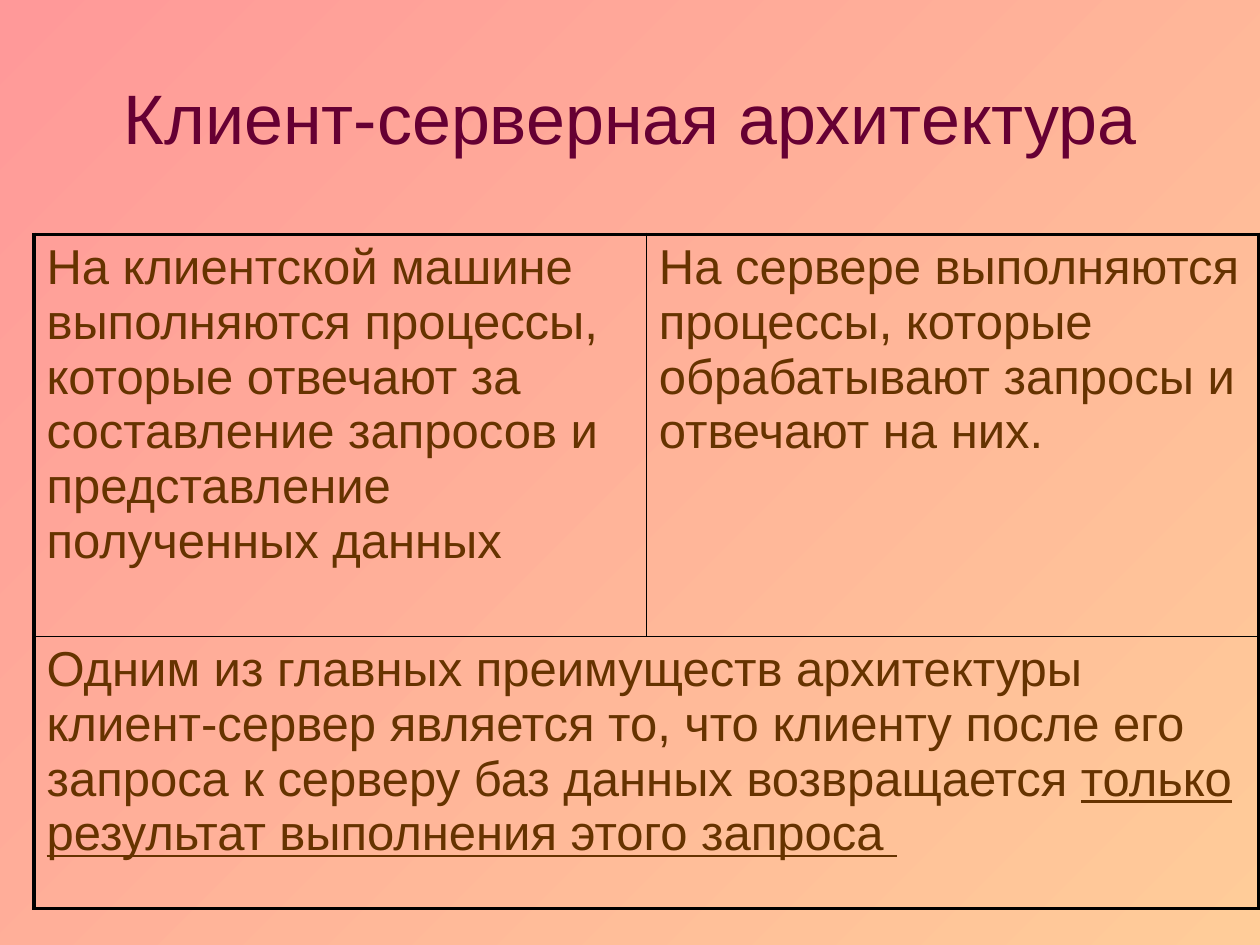
from lxml import etree
from pptx import Presentation
from pptx.dml.color import RGBColor
from pptx.enum import text
from pptx.oxml.ns import qn
from pptx.util import Inches, Pt

# Content
TITLE = "Клиент-серверная архитектура"
CLIENT = [("На клиентской машине выполняются процессы, которые отвечают за "
           "составление запросов и представление полученных данных ", False)]
SERVER = [("На сервере выполняются процессы, которые обрабатывают запросы "
           "и отвечают на них. ", False)]
ADVANTAGE = [("Одним из главных преимуществ архитектуры клиент-сервер является то, "
              "что клиенту после его запроса к серверу баз данных возвращается ", False),
             ("только результат выполнения этого запроса ", True)]
CELLS = {(0, 0): CLIENT, (0, 1): SERVER, (1, 0): ADVANTAGE}

COLORS = {"peach": "FFCC99", "pink": "FF9999", "title": "660033",
          "body": "663300", "border": "000000"}
COLUMN_WIDTHS = (4.86, 4.86)
ROW_HEIGHTS = (3.19, 2.16)
OUTER, INNER = 2.25, 1


def write(frame, runs, size, color, align=text.PP_ALIGN.LEFT):
    frame.word_wrap = True
    paragraph = frame.paragraphs[0]
    paragraph.alignment = align
    for words, underlined in runs:
        run = paragraph.add_run()
        run.text = words
        run.font.name = "Arial"
        run.font.size = Pt(size)
        run.font.color.rgb = RGBColor.from_string(COLORS[color])
        if underlined:
            run.font.underline = True


def set_borders(cell, widths):
    properties = cell._tc.get_or_add_tcPr()
    for side, width in zip("LRTB", widths):
        line = etree.SubElement(properties, qn(f"a:ln{side}"), w=str(Pt(width)))
        fill = etree.SubElement(line, qn("a:solidFill"))
        etree.SubElement(fill, qn("a:srgbClr"), val=COLORS["border"])


deck = Presentation()
deck.slide_width, deck.slide_height = Inches(10), Inches(7.5)
slide = deck.slides.add_slide(deck.slide_layouts[6])

# Background gradient, from bottom right to top left
backdrop = slide.background.fill
backdrop.gradient()
backdrop.gradient_angle = 135
for stop, (position, name) in zip(backdrop.gradient_stops, ((0, "peach"), (1, "pink"))):
    stop.position = position
    stop.color.rgb = RGBColor.from_string(COLORS[name])

# Architecture table
table = slide.shapes.add_table(
    2, 2, Inches(0.27), Inches(1.86),
    Inches(sum(COLUMN_WIDTHS)), Inches(sum(ROW_HEIGHTS))).table
table.first_row = table.horz_banding = False
for column, width in zip(table.columns, COLUMN_WIDTHS):
    column.width = Inches(width)
for row, height in zip(table.rows, ROW_HEIGHTS):
    row.height = Inches(height)
table.cell(1, 0).merge(table.cell(1, 1))

for r in range(2):
    for c in range(2):
        cell = table.cell(r, c)
        merged = r == 1
        set_borders(cell, (OUTER if c == 0 else INNER,
                           OUTER if c == 1 or merged else INNER,
                           OUTER if r == 0 else INNER,
                           OUTER if r == 1 else INNER))
        cell.fill.background()
        if (r, c) in CELLS:
            write(cell.text_frame, CELLS[r, c], 28, "body")

# Title
heading = slide.shapes.add_textbox(Inches(0.5), Inches(0.3), Inches(9), Inches(1.25))
heading.text_frame.vertical_anchor = text.MSO_ANCHOR.MIDDLE
write(heading.text_frame, [(TITLE, False)], 40, "title", text.PP_ALIGN.CENTER)

deck.save("out.pptx")
